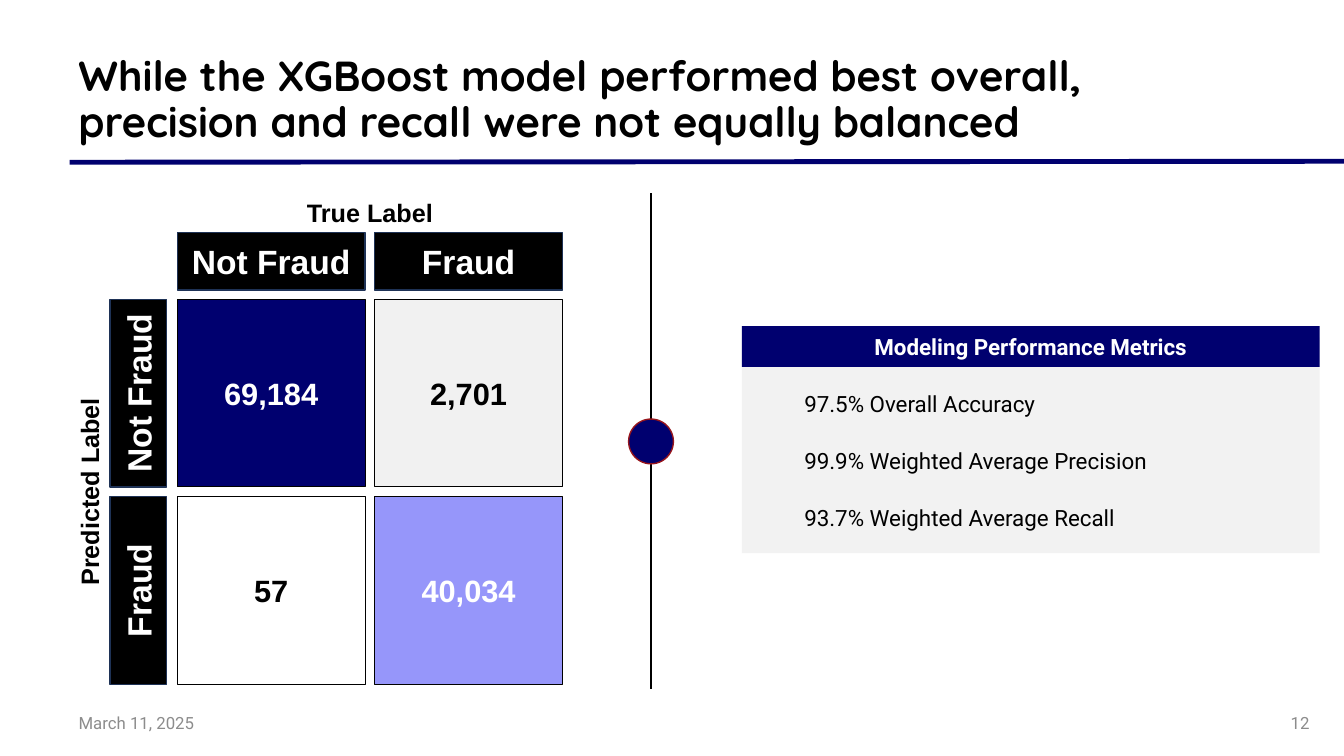
from dataclasses import dataclass

from lxml.etree import SubElement
from pptx import Presentation
from pptx.dml.color import RGBColor
from pptx.enum.shapes import MSO_CONNECTOR, MSO_SHAPE
from pptx.enum.text import MSO_ANCHOR, PP_ALIGN
from pptx.oxml.ns import qn
from pptx.util import Pt


@dataclass(frozen=True)
class Theme:
    navy: str = "00006F"
    lilac: str = "9696FA"
    cell_gray: str = "F1F1F1"
    panel_gray: str = "F2F2F2"
    black: str = "000000"
    white: str = "FFFFFF"
    header_edge: str = "1E3256"
    dot_edge: str = "97151C"
    footer_gray: str = "8C8C8C"
    title_font: str = "Quicksand"
    body_font: str = "Roboto"
    matrix_font: str = "Arial"
    title_size: int = 30
    header_size: int = 24
    count_size: int = 22
    axis_size: int = 18
    metric_size: int = 16
    footer_size: int = 12


THEME = Theme()

CLASSES = ["Not Fraud", "Fraud"]
COUNTS = [
    [("69,184", THEME.navy, THEME.white), ("2,701", THEME.cell_gray, THEME.black)],
    [("57", THEME.white, THEME.black), ("40,034", THEME.lilac, THEME.white)],
]
METRICS = [
    "97.5% Overall Accuracy",
    "99.9% Weighted Average Precision",
    "93.7% Weighted Average Recall",
]


def write(shape, text, font, size, color, bold=False, align=PP_ALIGN.LEFT,
          anchor=MSO_ANCHOR.MIDDLE, upward=False):
    """Put one styled paragraph in the shape; upward turns it to read bottom to top."""
    frame = shape.text_frame
    frame.word_wrap = True
    frame.vertical_anchor = anchor
    if upward:
        shape.element.txBody.bodyPr.set("vert", "vert270")
    paragraph = frame.paragraphs[0]
    paragraph.text = text
    paragraph.alignment = align
    paragraph.font.name = font
    paragraph.font.size = Pt(size)
    paragraph.font.bold = bold
    paragraph.font.color.rgb = RGBColor.from_string(color)
    return paragraph


def add_label(slide, box, text, font, size, color, **style):
    label = slide.shapes.add_textbox(*map(Pt, box))
    return write(label, text, font, size, color, **style)


def add_block(slide, box, fill, edge=None, edge_width=1, kind=MSO_SHAPE.RECTANGLE):
    block = slide.shapes.add_shape(kind, *map(Pt, box))
    block.shadow.inherit = False
    block.fill.solid()
    block.fill.fore_color.rgb = RGBColor.from_string(fill)
    if edge:
        block.line.color.rgb = RGBColor.from_string(edge)
        block.line.width = Pt(edge_width)
    else:
        block.line.fill.background()
    return block


def add_rule(slide, start, end, color, width):
    rule = slide.shapes.add_connector(MSO_CONNECTOR.STRAIGHT, *map(Pt, start + end))
    rule.line.color.rgb = RGBColor.from_string(color)
    rule.line.width = Pt(width)
    SubElement(rule.element.spPr, qn("a:effectLst"))


def add_class_header(slide, box, name, upward=False):
    header = add_block(slide, box, THEME.black, THEME.header_edge)
    write(header, name, THEME.matrix_font, THEME.header_size, THEME.white,
          bold=True, align=PP_ALIGN.CENTER, upward=upward)


def add_axis_label(slide, box, text, upward=False):
    add_label(slide, box, text, THEME.matrix_font, THEME.axis_size, THEME.black,
              bold=True, align=PP_ALIGN.CENTER, upward=upward)


def add_confusion_matrix(slide):
    left, top, side, pitch = 126.7, 213.8, 134, 141
    span = pitch + side
    for i, name in enumerate(CLASSES):
        add_class_header(slide, (left + i * pitch, 166.3, side, 41), name)
        add_class_header(slide, (78.5, top + i * pitch, 40.5, side), name, upward=True)
        for j, (count, fill, ink) in enumerate(COUNTS[i]):
            cell = add_block(slide, (left + j * pitch, top + i * pitch, side, side),
                             fill, THEME.black, 0.5)
            write(cell, count, THEME.matrix_font, THEME.count_size, ink,
                  bold=True, align=PP_ALIGN.CENTER)
    add_axis_label(slide, (left, 137.5, span, 29), "True Label")
    add_axis_label(slide, (49, top, 29, span), "Predicted Label", upward=True)


def add_divider(slide):
    x, middle, diameter = 465, 315.3, 32
    add_rule(slide, (x, 138.2), (x, 492.5), THEME.black, 1.5)
    add_block(slide, (x - diameter / 2, middle - diameter / 2, diameter, diameter),
              THEME.navy, THEME.dot_edge, kind=MSO_SHAPE.OVAL)


def add_metrics_panel(slide):
    left, width = 530, 412.6
    add_block(slide, (left, 241.2, width, 154), THEME.panel_gray)
    heading = add_block(slide, (left, 233, width, 29), THEME.navy)
    write(heading, "Modeling Performance Metrics", THEME.body_font, THEME.metric_size,
          THEME.white, bold=True, align=PP_ALIGN.CENTER)
    for i, metric in enumerate(METRICS):
        add_label(slide, (567.4, 278 + i * 41, 331, 20), metric,
                  THEME.body_font, THEME.metric_size, THEME.black)


def add_footer(slide):
    style = THEME.body_font, THEME.footer_size, THEME.footer_gray
    add_label(slide, (49, 502, 146, 29), "March 11, 2025", *style)
    add_label(slide, (726.5, 502, 216, 29), "12", *style, align=PP_ALIGN.RIGHT)


def main():
    deck = Presentation()
    deck.slide_width, deck.slide_height = Pt(960), Pt(540)
    slide = deck.slides.add_slide(deck.slide_layouts[6])
    add_rule(slide, (49.7, 115.9), (960, 115.2), THEME.navy, 3.5)
    title = add_label(
        slide, (49, 11.5, 761, 96.5),
        "While the XGBoost model performed best overall, "
        "precision and recall were not equally balanced",
        THEME.title_font, THEME.title_size, THEME.black,
        bold=True, anchor=MSO_ANCHOR.BOTTOM)
    title.line_spacing = 0.9
    add_confusion_matrix(slide)
    add_divider(slide)
    add_metrics_panel(slide)
    add_footer(slide)
    deck.save("out.pptx")


if __name__ == "__main__":
    main()
